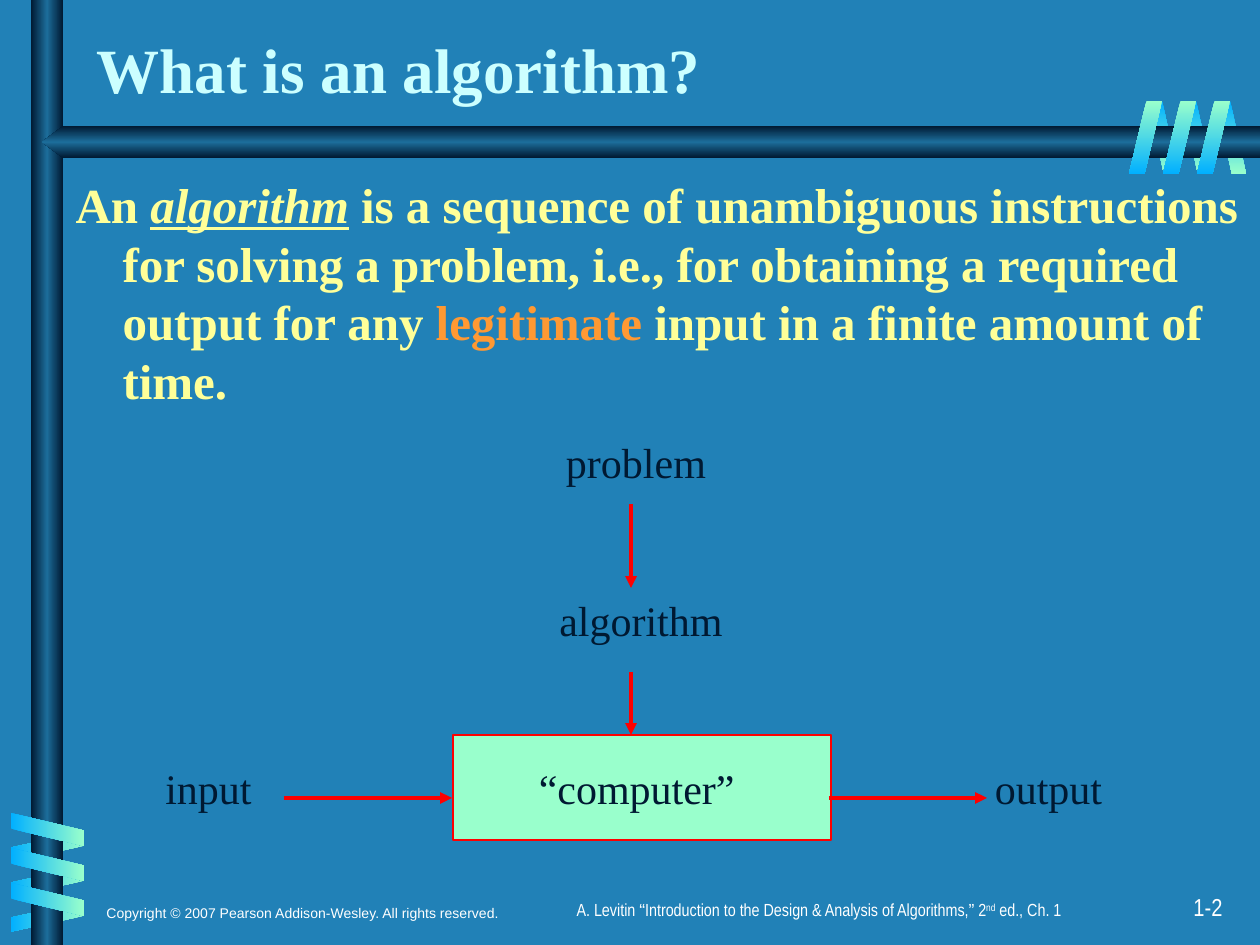
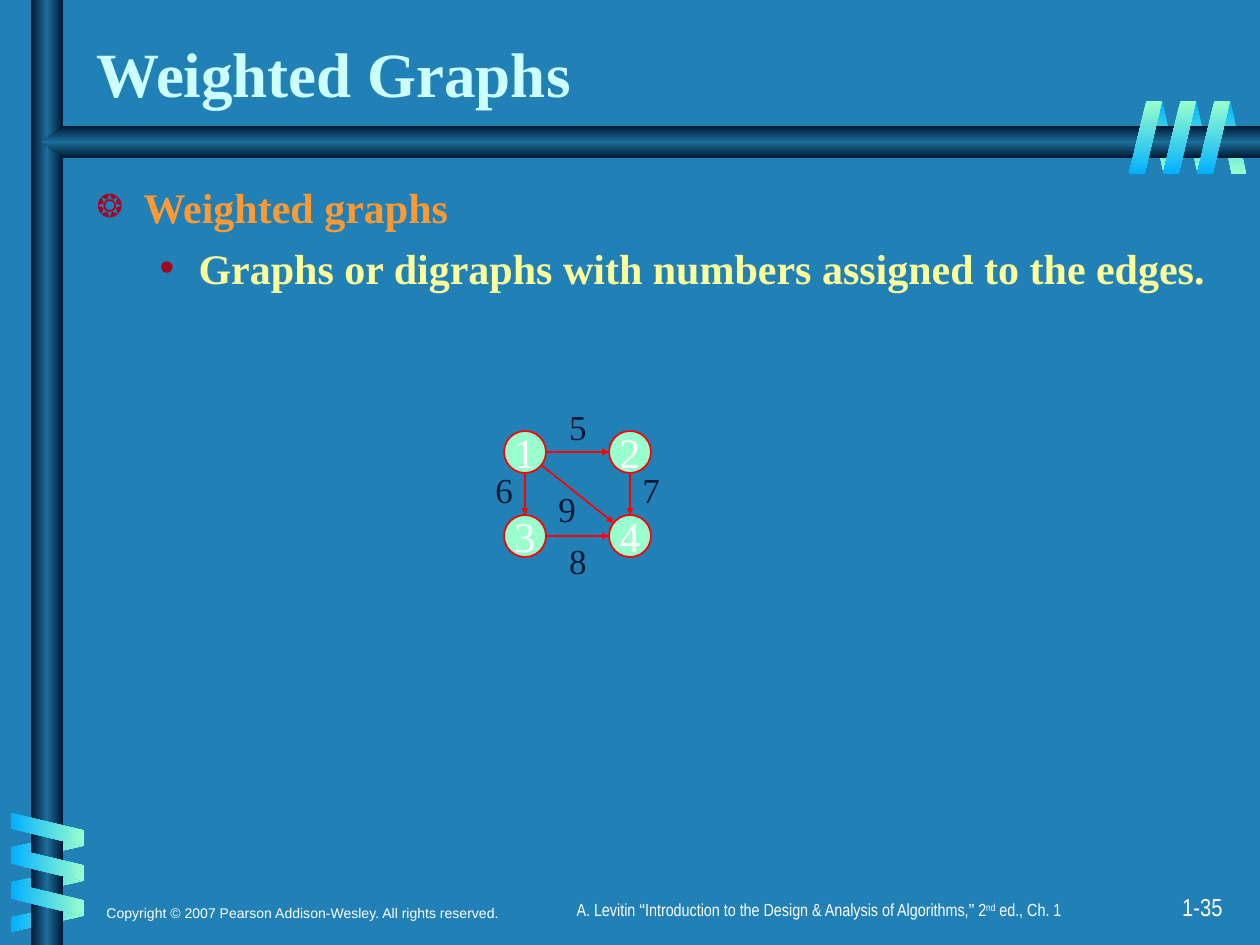
from copy import deepcopy
from dataclasses import dataclass
from math import hypot

from lxml import etree
from pptx import Presentation
from pptx import util as u
from pptx.dml.color import RGBColor
from pptx.enum import shapes, text
from pptx.oxml.ns import qn

EMU_PER_PX = 914400 / 126
SLIDE_WIDTH, SLIDE_HEIGHT = 1260, 945
SERIF, SANS, NARROW = "Times New Roman", "Arial", "Arial Narrow"
ALIGN, ANCHOR = text.PP_ALIGN, text.MSO_ANCHOR
PRESET = shapes.MSO_SHAPE

COLORS = {
    "background": "2181B7",
    "title": "CCFFFF",
    "body": "FFFF99",
    "accent": "FF9933",
    "bullet": "A50021",
    "ink": "001932",
    "band": "1C6D9A",
    "sky": "01B0FF",
    "mint": "99FFCC",
    "arrow": "FF0000",
    "white": "FFFFFF",
}
BAND_GRADIENT = ["ink", "band", "ink"]


@dataclass(frozen=True)
class Box:
    left: int
    top: int
    width: int
    height: int


@dataclass(frozen=True)
class Coil:
    """Three equal ribbons, each shifted by the same step."""
    first: Box
    step_x: int
    step_y: int
    gradient: tuple[str, str]
    angle: int
    rotation: int = 0
    flipped: bool = False


@dataclass(frozen=True)
class Label:
    words: str
    box: Box
    size: int = 24


@dataclass(frozen=True)
class Arrow:
    start: tuple[float, float]
    end: tuple[float, float]


BACK_COILS = [
    Coil(Box(1148, 101, 30, 73), 34, 0, ("sky", "mint"), 90, 180, True),
    Coil(Box(33, 810, 30, 73), 0, 35, ("mint", "sky"), 0, 90, True),
]
FRONT_COILS = [
    Coil(Box(31, 793, 33, 73), 0, 35, ("sky", "mint"), 0, 270),
    Coil(Box(1129, 101, 33, 73), 34, 0, ("mint", "sky"), 90),
]

FLOW_LABELS = [
    Label("problem", Box(548, 430, 176, 63)),
    Label("algorithm", Box(547, 588, 188, 63)),
    Label("input", Box(126, 756, 165, 63)),
    Label("output", Box(966, 756, 165, 63)),
]
FLOW_ARROWS = [
    Arrow((631, 504), (631, 588)),
    Arrow((631, 672), (631, 735)),
    Arrow((284, 798), (452, 798)),
    Arrow((829, 798), (987, 798)),
]

NODE_RADIUS = 21
NODE_CENTERS = {"1": (525, 452), "2": (630, 452), "3": (525, 536), "4": (630, 536)}
EDGES = [("1", "3"), ("3", "4"), ("2", "4"), ("1", "2"), ("1", "4")]
WEIGHTS = [
    Label(words, Box(left, top, 42, 55), 20)
    for words, left, top in [("6", 483, 462), ("8", 557, 533), ("5", 557, 399),
                             ("7", 630, 462), ("9", 546, 481)]
]


def px(length: float) -> u.Emu:
    return u.Emu(round(length * EMU_PER_PX))


def rgb(name: str) -> RGBColor:
    return RGBColor.from_string(COLORS[name])


def place(shape, box: Box) -> None:
    shape.left, shape.top = px(box.left), px(box.top)
    shape.width, shape.height = px(box.width), px(box.height)


def write(paragraph, words: str, *, size: int = 24, font: str = SERIF, color: str = "ink",
          bold: bool = False, italic: bool = False, underline: bool = False,
          baseline: int = 0) -> None:
    """Add one formatted run to a paragraph."""
    run = paragraph.add_run()
    run.text = words
    run.font.size = u.Pt(size)
    run.font.name = font
    run.font.color.rgb = rgb(color)
    run.font.bold, run.font.italic, run.font.underline = bold, italic, underline
    if baseline:
        run.font._element.set("baseline", str(baseline * 1000))


def prepare_frame(shape, align=ALIGN.LEFT, anchor=ANCHOR.TOP, wrap: bool = True):
    """Set up a text frame and return its first paragraph."""
    frame = shape.text_frame
    frame.auto_size = text.MSO_AUTO_SIZE.NONE
    frame.word_wrap = wrap
    frame.vertical_anchor = anchor
    paragraph = frame.paragraphs[0]
    paragraph.alignment = align
    paragraph.space_before = u.Pt(0)
    return paragraph


def add_text_box(slide, box: Box, align=ALIGN.LEFT, anchor=ANCHOR.TOP, wrap: bool = True):
    shape = slide.shapes.add_textbox(px(0), px(0), px(1), px(1))
    place(shape, box)
    return prepare_frame(shape, align, anchor, wrap)


def add_label(slide, label: Label) -> None:
    paragraph = add_text_box(slide, label.box, ALIGN.CENTER, wrap=False)
    write(paragraph, label.words, size=label.size)


def add_preset(slide, preset, box: Box):
    shape = slide.shapes.add_shape(preset, px(0), px(0), px(1), px(1))
    place(shape, box)
    shape.shadow.inherit = False
    return shape


def add_outlined(slide, preset, box: Box, words: str, color: str) -> None:
    """Add a mint shape with a red outline and centred text."""
    shape = add_preset(slide, preset, box)
    shape.fill.solid()
    shape.fill.fore_color.rgb = rgb("mint")
    shape.line.color.rgb = rgb("arrow")
    shape.line.width = u.Pt(1)
    write(prepare_frame(shape, ALIGN.CENTER, ANCHOR.MIDDLE, wrap=False), words, color=color)


def paint_gradient(shape, names, angle: int) -> None:
    """Fill with evenly spaced stops; the angle runs clockwise and ignores rotation."""
    shape.line.fill.background()
    shape.fill.gradient()
    shape.fill.gradient_angle = -angle % 360
    gradient = shape._element.spPr.find(qn("a:gradFill"))
    gradient.set("rotWithShape", "0")
    stop_list = gradient.find(qn("a:gsLst"))
    while len(stop_list) < len(names):
        stop_list.append(deepcopy(stop_list[0]))
    for index, (stop, name) in enumerate(zip(shape.fill.gradient_stops, names)):
        stop.position = index / (len(names) - 1)
        stop.color.rgb = rgb(name)


def add_coil(slide, coil: Coil) -> None:
    for index in reversed(range(3)) if coil.step_x else range(3):
        box = Box(coil.first.left + index * coil.step_x, coil.first.top + index * coil.step_y,
                  coil.first.width, coil.first.height)
        ribbon = add_preset(slide, PRESET.PARALLELOGRAM, box)
        ribbon.adjustments[0] = 0.53
        ribbon.rotation = coil.rotation
        if coil.flipped:
            ribbon._element.spPr.find(qn("a:xfrm")).set("flipH", "1")
        paint_gradient(ribbon, coil.gradient, coil.angle)


def add_bands(slide) -> None:
    upright = add_preset(slide, PRESET.RECTANGLE, Box(31, 0, 32, SLIDE_HEIGHT))
    paint_gradient(upright, BAND_GRADIENT, 0)
    builder = slide.shapes.build_freeform(SLIDE_WIDTH, 126, scale=EMU_PER_PX)
    builder.add_line_segments([(63, 126), (42, 142), (63, 158), (SLIDE_WIDTH, 158)])
    crossbar = builder.convert_to_shape()
    crossbar.shadow.inherit = False
    paint_gradient(crossbar, BAND_GRADIENT, 90)


def add_arrow(slide, arrow: Arrow, width: float, head: str = "med") -> None:
    ends = [px(value) for value in (*arrow.start, *arrow.end)]
    connector = slide.shapes.add_connector(shapes.MSO_CONNECTOR.STRAIGHT, *ends)
    connector.line.color.rgb = rgb("arrow")
    connector.line.width = u.Pt(width)
    properties = connector._element.spPr
    etree.SubElement(properties.find(qn("a:ln")), qn("a:tailEnd"),
                     type="triangle", w=head, len=head)
    etree.SubElement(properties, qn("a:effectLst"))


def add_footers(slide, number: str) -> None:
    copyright_line = add_text_box(slide, Box(94, 854, 536, 73), anchor=ANCHOR.BOTTOM)
    write(copyright_line, "Copyright © 2007 Pearson Addison-Wesley. All rights reserved.",
          size=8, font=SANS, color="white")
    book = add_text_box(slide, Box(378, 893, 882, 42), ALIGN.CENTER)
    for words, font, baseline in [
        ("A. Levitin ", NARROW, 0),
        ("“", SANS, 0),
        ("Introduction to the Design & Analysis of Algorithms,", NARROW, 0),
        ("”", SANS, 0),
        (" 2", NARROW, 0),
        ("nd", NARROW, 30),
        (" ed., Ch. 1", NARROW, 0),
    ]:
        write(book, words, size=10, font=font, color="white", baseline=baseline)
    page = add_text_box(slide, Box(973, 886, 262, 42), ALIGN.RIGHT)
    write(page, number, size=14, font=NARROW, color="white")


def format_item(paragraph, margin: int, indent: int, bullet: str = "", percent: int = 100) -> None:
    """Set the hanging indent and bullet of a body paragraph."""
    properties = paragraph._p.get_or_add_pPr()
    properties.set("marL", str(px(margin)))
    properties.set("indent", str(px(indent)))
    if bullet:
        color = etree.SubElement(properties, qn("a:buClr"))
        etree.SubElement(color, qn("a:srgbClr"), val=COLORS["bullet"])
        etree.SubElement(properties, qn("a:buSzPct"), val=str(percent * 1000))
        etree.SubElement(properties, qn("a:buChar"), char=bullet)
    else:
        etree.SubElement(properties, qn("a:buNone"))


def start_slide(presentation, title: str, number: str, body_box: Box, anchor):
    """Add a slide with its shared parts; return it and its first body paragraph."""
    slide = presentation.slides.add_slide(presentation.slide_layouts[1])
    for coil in BACK_COILS:
        add_coil(slide, coil)
    add_bands(slide)
    for coil in FRONT_COILS:
        add_coil(slide, coil)
    add_footers(slide, number)
    heading, body = slide.shapes.title, slide.placeholders[1]
    place(heading, Box(84, 21, 1046, 95))
    write(prepare_frame(heading, anchor=anchor), title, size=36, color="title", bold=True)
    place(body, body_box)
    return slide, prepare_frame(body)


def add_algorithm_slide(presentation) -> None:
    slide, definition = start_slide(presentation, "What is an algorithm?", "1-2",
                                    Box(63, 168, 1197, 707), ANCHOR.MIDDLE)
    format_item(definition, 47, -47)
    for words, style in [
        ("An ", {}),
        ("algorithm", {"italic": True, "underline": True}),
        (" is a sequence of unambiguous instructions for solving a problem, i.e., "
         "for obtaining a required output for any ", {}),
        ("legitimate", {"color": "accent"}),
        (" input in a finite amount of time.", {}),
    ]:
        write(definition, words, **{"size": 28, "color": "body", "bold": True, **style})
    add_outlined(slide, PRESET.RECTANGLE, Box(453, 735, 378, 105), "“computer” ", "ink")
    for arrow in FLOW_ARROWS:
        add_arrow(slide, arrow, 2.25)
    for label in FLOW_LABELS:
        add_label(slide, label)


def edge_arrow(source: str, target: str) -> Arrow:
    """Join two nodes from rim to rim along the line of their centres."""
    (x1, y1), (x2, y2) = NODE_CENTERS[source], NODE_CENTERS[target]
    share = NODE_RADIUS / hypot(x2 - x1, y2 - y1)
    dx, dy = (x2 - x1) * share, (y2 - y1) * share
    return Arrow((x1 + dx, y1 + dy), (x2 - dx, y2 - dy))


def add_graph_slide(presentation) -> None:
    slide, topic = start_slide(presentation, "Weighted Graphs", "1-35",
                               Box(84, 175, 1144, 675), ANCHOR.BOTTOM)
    format_item(topic, 47, -47, "❂", 75)
    write(topic, "Weighted graphs", color="accent", bold=True)
    detail = slide.placeholders[1].text_frame.add_paragraph()
    detail.level = 1
    format_item(detail, 102, -39, "•")
    detail.space_before = u.Pt(6)
    write(detail, "Graphs or digraphs with numbers assigned to the edges.", color="body", bold=True)
    for name, (x, y) in NODE_CENTERS.items():
        box = Box(x - NODE_RADIUS, y - NODE_RADIUS, 2 * NODE_RADIUS, 2 * NODE_RADIUS)
        add_outlined(slide, PRESET.OVAL, box, name, "white")
    for source, target in EDGES:
        add_arrow(slide, edge_arrow(source, target), 1, "sm")
    for weight in WEIGHTS:
        add_label(slide, weight)


def main() -> None:
    presentation = Presentation()
    presentation.slide_width, presentation.slide_height = px(SLIDE_WIDTH), px(SLIDE_HEIGHT)
    background = presentation.slide_master.background.fill
    background.solid()
    background.fore_color.rgb = rgb("background")
    add_algorithm_slide(presentation)
    add_graph_slide(presentation)
    presentation.save("out.pptx")


if __name__ == "__main__":
    main()
